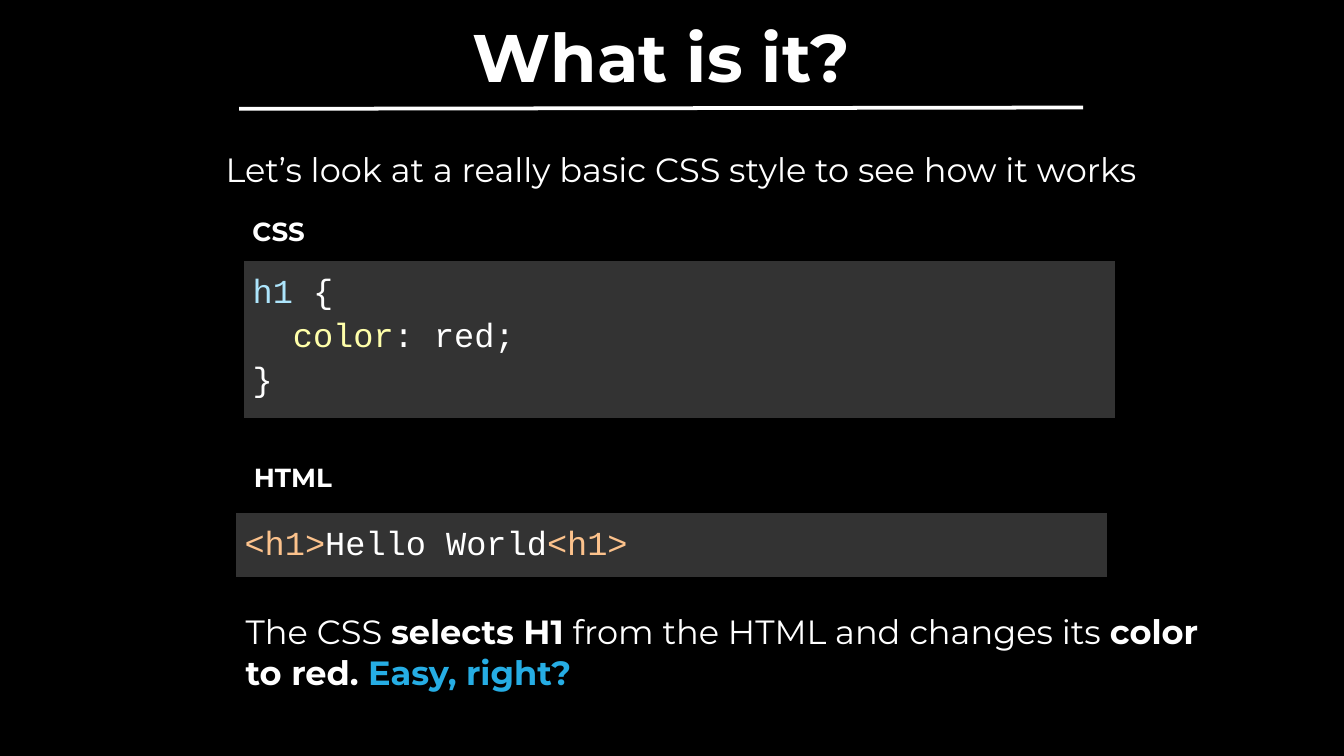
from dataclasses import dataclass

from lxml import etree
from pptx import Presentation, util as u
from pptx.dml.color import RGBColor
from pptx.enum import shapes, text
from pptx.oxml import ns


@dataclass(frozen=True)
class Theme:
    background: str = "000000"
    panel: str = "333333"
    white: str = "FFFFFF"
    accent: str = "26ADE4"
    selector: str = "ADE5FC"
    prop: str = "FFFFAA"
    tag: str = "FCC28C"
    body_font: str = "Montserrat"
    code_font: str = "Courier New"
    title: int = 36
    body: int = 18
    label: int = 14


class Deck:
    """Holds the theme and the current slide, on a grid of 100 columns by 56.25 rows."""

    COLS, ROWS = 100, 56.25

    def __init__(self, theme):
        self.t = theme
        self.prs = Presentation()
        self.prs.slide_width = u.Inches(10)
        self.prs.slide_height = self.prs.slide_width * 9 // 16
        self.s = self.prs.slides.add_slide(self.prs.slide_layouts[6])
        fill = self.s.background.fill
        fill.solid()
        fill.fore_color.rgb = RGBColor.from_string(theme.background)

    def x(self, cols):
        return round(self.prs.slide_width * cols / self.COLS)

    def y(self, rows):
        return round(self.prs.slide_height * rows / self.ROWS)

    def box(self, col, row, cols, rows):
        return self.x(col), self.y(row), self.x(cols), self.y(rows)

    def run(self, p, wording, size, color, bold=False, font=None):
        r = p.add_run()
        r.text = wording
        r.font.size, r.font.bold = u.Pt(size), bold
        r.font.name = font or self.t.body_font
        r.font.color.rgb = RGBColor.from_string(color)

    def text(self, at, runs, size, inset=(0.1, 0.05), centred=False):
        """Add a text box; each run is (wording, bold, colour)."""
        tf = self.s.shapes.add_textbox(*self.box(*at)).text_frame
        tf.word_wrap = True
        tf.margin_left = tf.margin_right = u.Inches(inset[0])
        tf.margin_top = tf.margin_bottom = u.Inches(inset[1])
        p = tf.paragraphs[0]
        if centred:
            tf.vertical_anchor = text.MSO_ANCHOR.MIDDLE
            p.alignment = text.PP_ALIGN.CENTER
            p.line_spacing = 0.9
        for wording, bold, color in runs:
            self.run(p, wording, size, color, bold)

    def label(self, col, row, wording):
        self.text((col, row, 14, 3), [(wording, True, self.t.white)],
                  self.t.label, inset=(0.1, 0.1))

    def rule(self, start, end):
        line = self.s.shapes.add_connector(
            shapes.MSO_CONNECTOR.STRAIGHT,
            self.x(start[0]), self.y(start[1]), self.x(end[0]), self.y(end[1]))
        line.line.width = u.Pt(2)
        line.line.color.rgb = RGBColor.from_string(self.t.white)
        etree.SubElement(line._element.spPr, ns.qn("a:effectLst"))

    def code(self, at, lines):
        """Add a one-cell table that grows with its lines of (wording, colour) runs."""
        cell = self.s.shapes.add_table(1, 1, *self.box(*at)).table.cell(0, 0)
        cell.margin_left = cell.margin_right = u.Inches(0.07)
        cell.margin_top = cell.margin_bottom = u.Inches(0.07)
        self.borders(cell)
        cell.fill.solid()
        cell.fill.fore_color.rgb = RGBColor.from_string(self.t.panel)
        p = cell.text_frame.paragraphs[0]
        p.line_spacing = 1.15
        for i, runs in enumerate(lines):
            if i:
                p.add_line_break()
            for wording, color in runs:
                self.run(p, wording, self.t.body, color, font=self.t.code_font)

    def borders(self, cell):
        tcPr = cell._tc.get_or_add_tcPr()
        for side in ("lnL", "lnR", "lnT", "lnB"):
            ln = etree.SubElement(tcPr, ns.qn(f"a:{side}"), w=str(u.Pt(0.75)))
            fill = etree.SubElement(ln, ns.qn("a:solidFill"))
            etree.SubElement(fill, ns.qn("a:srgbClr"), val=self.t.background)


def main():
    t = Theme()
    d = Deck(t)

    # Title and rule
    d.text((-0.8, 2.1, 100, 4.8), [("What is it?", True, t.white)],
           t.title, inset=(0.04, 0.04), centred=True)
    d.rule((17.8, 8.1), (80.6, 8))

    # Introduction
    d.text((15.8, 10.6, 73.1, 4.1),
           [("Let’s look at a really basic CSS style to see how it works", False, t.white)],
           t.body)

    # CSS example
    d.label(17.8, 15, "CSS")
    d.code((18.1, 19.4, 64.9, 10.9), [
        [("h1", t.selector), (" {", t.white)],
        [("  color", t.prop), (": red;", t.white)],
        [("}", t.white)],
    ])

    # HTML example
    d.label(17.9, 33.3, "HTML")
    d.code((17.5, 38.1, 64.9, 4.5), [
        [("<h1>", t.tag), ("Hello World", t.white), ("<h1>", t.tag)],
    ])

    # Conclusion
    d.text((17.3, 45, 73.1, 4.1), [
        ("The CSS ", False, t.white),
        ("selects H1", True, t.white),
        (" from the HTML and changes its ", False, t.white),
        ("color to red. ", True, t.white),
        ("Easy, right?", True, t.accent),
    ], t.body)

    d.prs.save("out.pptx")


if __name__ == "__main__":
    main()
